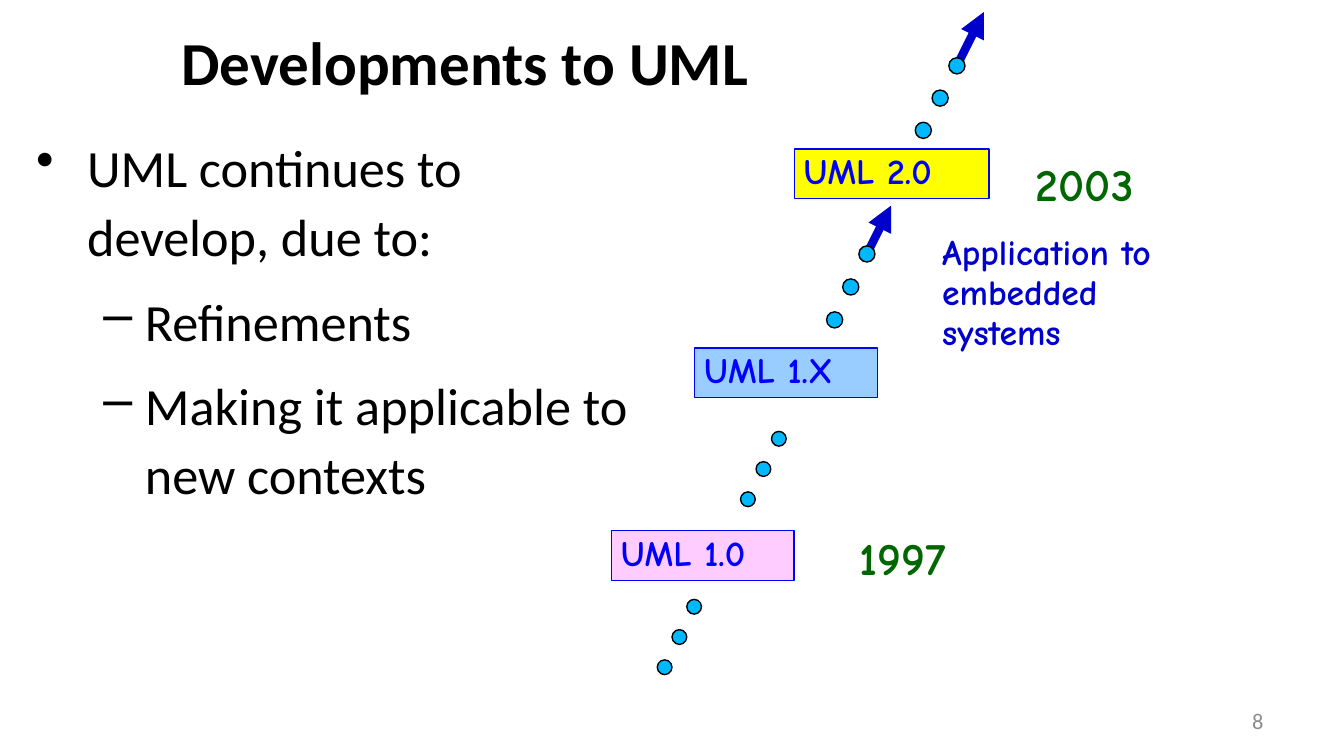
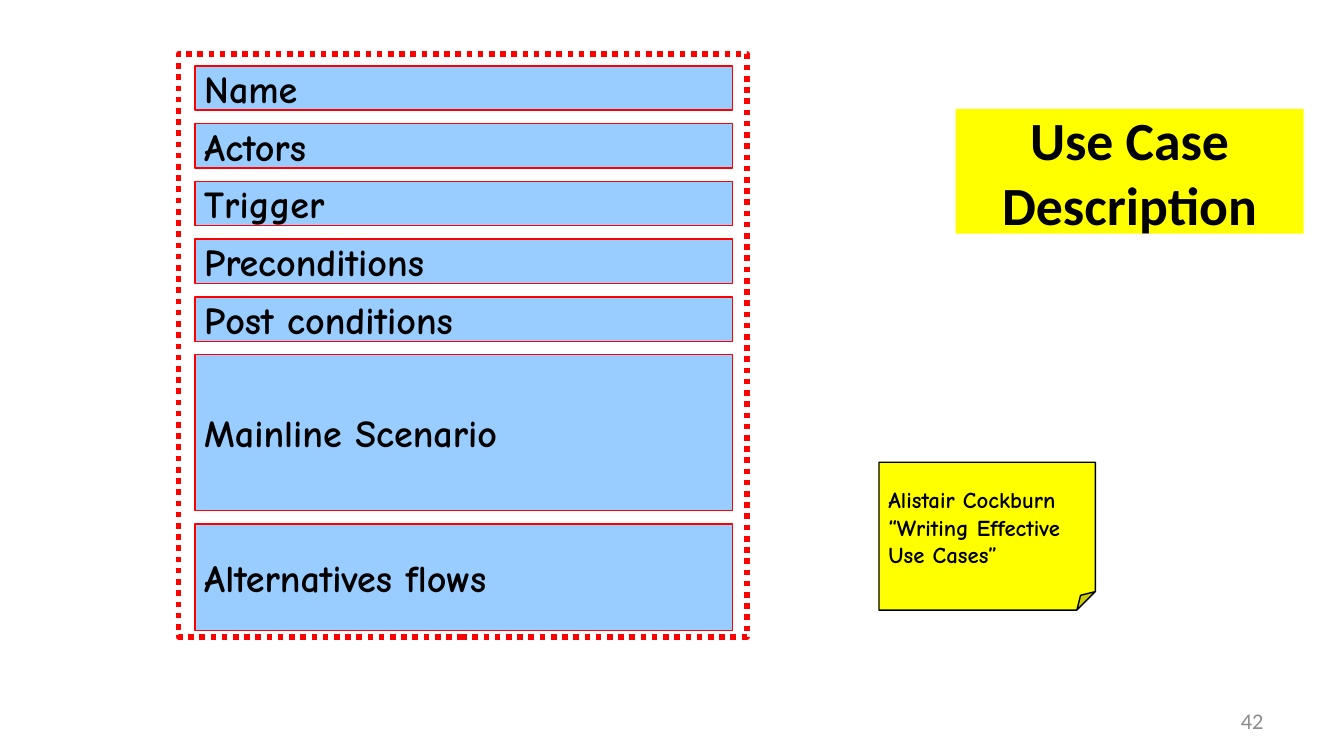
from dataclasses import dataclass
from typing import Optional

from lxml import etree
from pptx import Presentation
from pptx import util as u
from pptx.dml.color import RGBColor
from pptx.enum import dml, shapes, text
from pptx.oxml.ns import qn

# Grid: square cells of a tenth of an inch
CELL = u.Inches(0.1)
COLUMNS, ROWS = 100, 56.25

BLACK = RGBColor(0x00, 0x00, 0x00)
GREY = RGBColor(0x8C, 0x8C, 0x8C)
BLUE = RGBColor(0x00, 0x00, 0xFF)
DARK_BLUE = RGBColor(0x00, 0x00, 0xCC)
SKY = RGBColor(0x00, 0xB8, 0xFF)
LIGHT_BLUE = RGBColor(0x99, 0xCC, 0xFF)
PINK = RGBColor(0xFF, 0xCC, 0xFF)
YELLOW = RGBColor(0xFF, 0xFF, 0x00)
GREEN = RGBColor(0x00, 0x66, 0x00)
RED = RGBColor(0xFF, 0x00, 0x00)

RECTANGLE = shapes.MSO_SHAPE.RECTANGLE
LEFT, CENTER, RIGHT = text.PP_ALIGN.LEFT, text.PP_ALIGN.CENTER, text.PP_ALIGN.RIGHT
TOP, MIDDLE = text.MSO_ANCHOR.TOP, text.MSO_ANCHOR.MIDDLE


@dataclass(frozen=True)
class Box:
    """A place on the grid, in columns and rows."""
    column: float
    row: float
    columns: float
    rows: float

    def lengths(self) -> list[int]:
        return [round(n * CELL) for n in (self.column, self.row, self.columns, self.rows)]


@dataclass(frozen=True)
class Style:
    size: float
    color: RGBColor = BLACK
    font: str = "Comic Neue"
    bold: bool = True
    align: text.PP_ALIGN = LEFT
    anchor: text.MSO_ANCHOR = MIDDLE
    spacing: float = 1.0
    inset: tuple[float, float] = (0.07, 0.04)


@dataclass(frozen=True)
class Version:
    name: str
    box: Box
    fill: RGBColor


@dataclass(frozen=True)
class Trail:
    """Three dots going down to the left, with an arrow at the top if it has a start."""
    column: float
    row: float
    size: float
    step: tuple[float, float]
    arrow_start: Optional[tuple[float, float]] = None


@dataclass(frozen=True)
class Bullet:
    words: str
    symbol: str
    margin: float
    hanging: float
    level: int = 0


@dataclass(frozen=True)
class Section:
    name: str
    rows: float = 3.3


WIDE = (0.1, 0.05)
TITLE = Style(32.7, font="Calibri", spacing=0.92, inset=WIDE)
SIDE_TITLE = Style(28.8, font="Calibri", align=CENTER, inset=WIDE)
BODY = Style(28, font="Calibri", bold=False, anchor=TOP, spacing=1.1, inset=WIDE)
NUMBER = Style(12, GREY, "Calibri", bold=False, align=RIGHT, inset=WIDE)
VERSION = Style(19.1, BLUE, anchor=TOP, spacing=0.93, inset=(0.07, 0.03))
REMARK = Style(19.1, DARK_BLUE, anchor=TOP, spacing=0.93, inset=(0.07, 0.03))
YEAR = Style(24.5, GREEN, anchor=TOP, inset=WIDE)
SECTION = Style(20.4)
NOTE = Style(12.2)

BULLETS = [
    Bullet("UML continues to develop, due to:", "•", 0.38, 0.38),
    Bullet("Refinements", "–", 0.81, 0.31, 1),
    Bullet("Making it applicable to new contexts", "–", 0.81, 0.31, 1),
]
VERSIONS = [
    Version("UML 1.X", Box(51.7, 25.9, 13.6, 3.7), LIGHT_BLUE),
    Version("UML 1.0", Box(45.5, 39.5, 13.6, 3.7), PINK),
    Version("UML 2.0", Box(59.1, 11.1, 14.5, 3.7), YELLOW),
]
TRAILS = [
    Trail(57.4, 32.1, 1.1, (-1.15, 2.25)),
    Trail(51.1, 44.6, 1.1, (-1.1, 2.25)),
    Trail(63.9, 18.3, 1.2, (-1.2, 2.45), (64.5, 18.9)),
    Trail(70.6, 4.3, 1.2, (-1.25, 2.4), (71.4, 4.5)),
]
ARROW_RUN, ARROW_RISE = 1.8, 3.6
YEARS = {"1997": (63, 38.9), "2003": (76.1, 11.1)}

SECTIONS = [
    Section("Name"), Section("Actors"), Section("Trigger"),
    Section("Preconditions"), Section("Post conditions"),
    Section("Mainline Scenario", 11.6), Section("Alternatives flows", 7.9),
]
SECTION_GAP = 1


def style_paragraph(paragraph, style: Style) -> None:
    paragraph.alignment = style.align
    paragraph.line_spacing = style.spacing
    font = paragraph.font
    font.name, font.size, font.bold = style.font, u.Pt(style.size), style.bold
    font.color.rgb = style.color


def write(shape, words: str, style: Style):
    frame = shape.text_frame
    frame.word_wrap = True
    frame.vertical_anchor = style.anchor
    across, down = (u.Inches(n) for n in style.inset)
    frame.margin_left = frame.margin_right = across
    frame.margin_top = frame.margin_bottom = down
    frame.text = words
    style_paragraph(frame.paragraphs[0], style)
    return frame


def add_text(slide, box: Box, words: str, style: Style):
    return write(slide.shapes.add_textbox(*box.lengths()), words, style)


def add_figure(slide, kind, box: Box, fill: Optional[RGBColor],
               line: Optional[RGBColor], width: float = 0.75):
    shape = slide.shapes.add_shape(kind, *box.lengths())
    shape.shadow.inherit = False
    if fill is None:
        shape.fill.background()
    else:
        shape.fill.solid()
        shape.fill.fore_color.rgb = fill
    if line is None:
        shape.line.fill.background()
    else:
        shape.line.color.rgb = line
        shape.line.width = u.Pt(width)
    return shape


def add_bullets(slide, box: Box, bullets: list[Bullet]) -> None:
    frame = add_text(slide, box, bullets[0].words, BODY)
    for index, bullet in enumerate(bullets):
        paragraph = frame.paragraphs[0] if index == 0 else frame.add_paragraph()
        paragraph.text = bullet.words
        paragraph.level = bullet.level
        style_paragraph(paragraph, BODY)
        paragraph.space_before = paragraph.space_after = u.Pt(4.2)
        properties = paragraph._p.get_or_add_pPr()
        properties.set("marL", str(u.Inches(bullet.margin)))
        properties.set("indent", str(-u.Inches(bullet.hanging)))
        mark = etree.Element(qn("a:buChar"), char=bullet.symbol)
        properties.find(qn("a:defRPr")).addprevious(mark)


def add_arrow(slide, column: float, row: float) -> None:
    ends = (column, row, column + ARROW_RUN, row - ARROW_RISE)
    arrow = slide.shapes.add_connector(
        shapes.MSO_CONNECTOR.STRAIGHT, *(round(n * CELL) for n in ends))
    arrow.line.color.rgb = DARK_BLUE
    arrow.line.width = u.Pt(4.5)
    etree.SubElement(arrow.line._get_or_add_ln(), qn("a:tailEnd"), type="triangle")
    etree.SubElement(arrow._element.spPr, qn("a:effectLst"))


def add_trail(slide, trail: Trail) -> None:
    if trail.arrow_start:
        add_arrow(slide, *trail.arrow_start)
    across, down = trail.step
    for n in range(3):
        dot = Box(trail.column + n * across, trail.row + n * down, trail.size, trail.size)
        add_figure(slide, shapes.MSO_SHAPE.OVAL, dot, SKY, BLACK)


def add_numbered_slide(presentation, number: int):
    slide = presentation.slides.add_slide(presentation.slide_layouts[6])
    add_text(slide, Box(71.7, 52.1, 23.3, 3), str(number), NUMBER)
    return slide


def build_developments(presentation) -> None:
    slide = add_numbered_slide(presentation, 8)
    add_text(slide, Box(12.5, -1.4, 64, 12.5), "Developments to UML", TITLE)
    add_bullets(slide, Box(1.7, 9.1, 47.8, 41), BULLETS)
    # Versions climbing to the right
    for version in VERSIONS:
        shape = add_figure(slide, RECTANGLE, version.box, version.fill, BLUE)
        write(shape, version.name, VERSION)
    for trail in TRAILS:
        add_trail(slide, trail)
    # Remarks beside the versions
    add_text(slide, Box(69.4, 17.1, 18.1, 9.6), "Application to embedded systems", REMARK)
    for year, (column, row) in YEARS.items():
        add_text(slide, Box(column, row, 17.6, 5.1), year, YEAR)


def build_use_case(presentation) -> None:
    slide = add_numbered_slide(presentation, 42)
    title = add_figure(slide, RECTANGLE, Box(71.1, 8.1, 25.9, 9.3), YELLOW, None)
    write(title, "Use Case Description", SIDE_TITLE)
    # Stack of sections in a dotted frame
    row = 4.9
    for section in SECTIONS:
        box = Box(14.5, row, 40, section.rows)
        write(add_figure(slide, RECTANGLE, box, LIGHT_BLUE, RED), section.name, SECTION)
        row += section.rows + SECTION_GAP
    frame = add_figure(slide, RECTANGLE, Box(13.3, 4, 42.3, 43.4), None, RED, 3)
    frame.line.dash_style = dml.MSO_LINE.ROUND_DOT
    # Source note with a small fold
    note = add_figure(slide, shapes.MSO_SHAPE.FOLDED_CORNER,
                      Box(65.4, 34.4, 16.1, 11), YELLOW, BLACK)
    guides = next(note._element.spPr.iter(qn("a:avLst")))
    etree.SubElement(guides, qn("a:gd"), name="adj", fmla="val 12500")
    write(note, "Alistair Cockburn “Writing Effective Use Cases”", NOTE)


def main() -> None:
    presentation = Presentation()
    presentation.slide_width = round(COLUMNS * CELL)
    presentation.slide_height = round(ROWS * CELL)
    build_developments(presentation)
    build_use_case(presentation)
    presentation.save("out.pptx")


if __name__ == "__main__":
    main()
